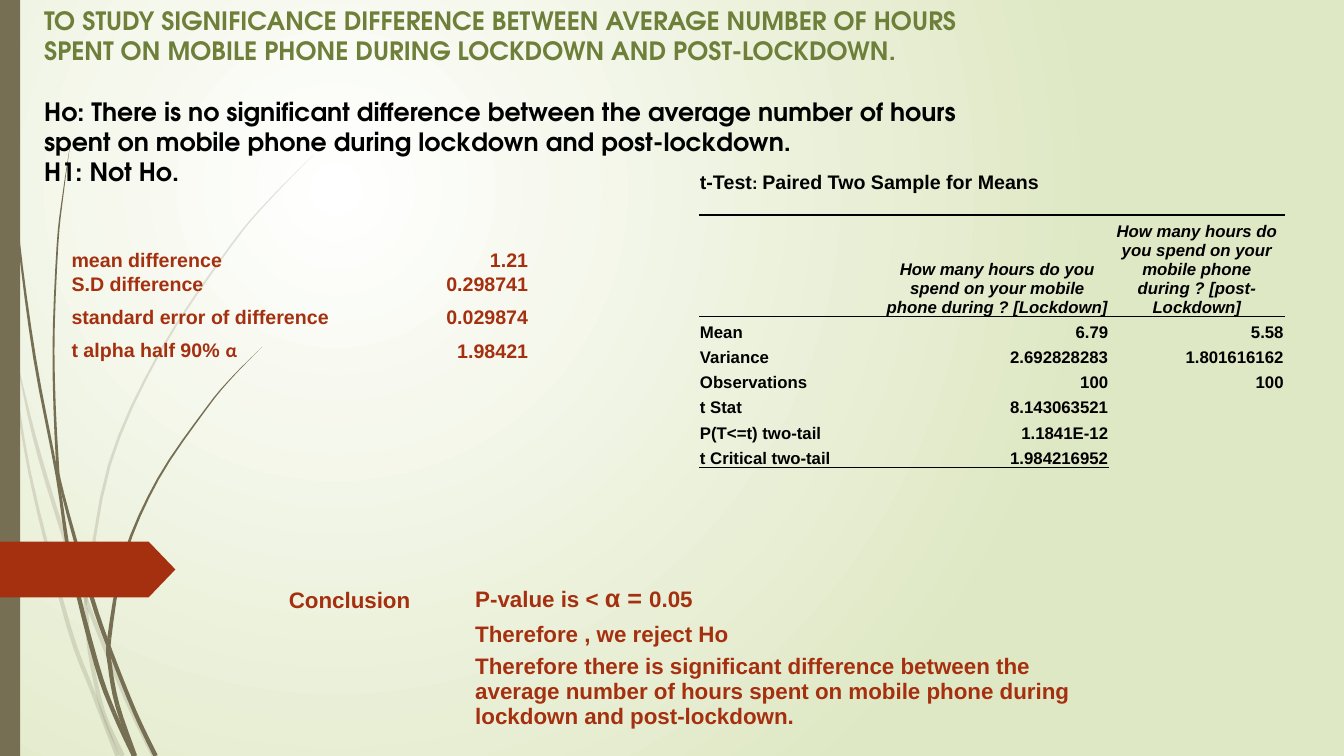
from dataclasses import dataclass
from math import hypot
from typing import NamedTuple

from lxml.etree import SubElement
from pptx import Presentation
from pptx.dml.color import RGBColor
from pptx.enum.shapes import MSO_SHAPE
from pptx.enum.text import MSO_ANCHOR, PP_ALIGN
from pptx.oxml import parse_xml
from pptx.oxml.ns import nsdecls, qn
from pptx.util import Pt

WHITE = RGBColor(0xFF, 0xFF, 0xFF)
BLACK = RGBColor(0, 0, 0)
PALE_GREEN = RGBColor(0xDF, 0xE8, 0xC4)
OLIVE = RGBColor(0x6D, 0x7F, 0x39)
BROWN = RGBColor(0x76, 0x6F, 0x54)
RUST = RGBColor(0xA5, 0x30, 0x10)
NO_STYLE_NO_GRID = "{2D5ABB26-0587-4C30-8999-92F81FD0307C}"
HEADING_FONT = "TeX Gyre Adventor"
CURVE_STEPS = 4


class Stop(NamedTuple):
    """A point on a blade's centre line, with the blade's width there."""
    x: float
    y: float
    width: float


class Blade(NamedTuple):
    joints: tuple[int, ...]  # stops where one piece ends and the next begins
    opacity: int
    stops: list[Stop]


class Part(NamedTuple):
    text: str
    size: float
    font: str = "Arial"


@dataclass
class Grid:
    left: float
    top: float
    columns: list[float]
    rows: list[float]
    cells: list[list]
    size: float
    color: RGBColor
    value_align: PP_ALIGN = PP_ALIGN.RIGHT
    header_row: int | None = None
    merged: tuple[int, int, int] | None = None  # row, first column, last column
    rules: tuple[tuple[int, int, float], ...] = ()  # row, column count, width


BLADES = [
    Blade((1, 4), 20, [
        Stop(0, 209, 2), Stop(7.2, 249, 1.5), Stop(21.2, 338, 2), Stop(48.6, 446, 3),
        Stop(66.6, 495, 3), Stop(83.9, 540, 3)]),
    Blade((3,), 20, [
        Stop(10, 248, 0), Stop(24.5, 312, 2.5), Stop(43.2, 375, 2.9), Stop(62, 430, 2.9),
        Stop(90, 499, 2.9), Stop(109.8, 540, 3)]),
    Blade((5, 6, 8), 20, [
        Stop(224.6, 110, 0), Stop(193, 142, 0.8), Stop(164.5, 176, 1.2), Stop(114.5, 251, 1.5),
        Stop(78.1, 332, 2), Stop(62, 424, 2.2), Stop(62, 437, 2.5), Stop(64.1, 465, 2.9),
        Stop(73.5, 508, 3), Stop(87.5, 540, 3.5)]),
    Blade((5, 8), 100, [
        Stop(2.5, 0, 0.5), Stop(3.2, 35, 0.7), Stop(5.4, 79, 0.8), Stop(13, 168, 1.4),
        Stop(24.8, 256, 2), Stop(40.8, 340, 2), Stop(50.4, 401, 2.8), Stop(68.8, 474, 3.4),
        Stop(81.4, 509, 3), Stop(95.8, 540, 3.2)]),
    Blade((4, 5, 7), 100, [
        Stop(50.4, 101.5, 0), Stop(45, 139, 0.8), Stop(41, 176, 1.2), Stop(38.2, 251, 1.4),
        Stop(40.7, 325, 2), Stop(44.7, 352, 2), Stop(65.2, 425.5, 3), Stop(78.5, 464, 2.9),
        Stop(96.5, 509, 2.9), Stop(111.2, 540, 3.2)]),
    Blade((5, 6, 7), 100, [
        Stop(187.5, 247.7, 0), Stop(166.3, 269, 0.6), Stop(147.2, 292, 1), Stop(113, 342, 1.4),
        Stop(88.9, 397, 2), Stop(78.1, 456, 2.9), Stop(78.5, 475, 3), Stop(83.9, 504, 3.2),
        Stop(96.5, 540, 3)]),
]

DIFFERENCES = Grid(
    50.4, 176, [236.9, 90.7], [18, 17.3, 23, 24.5],
    [["mean difference", "1.21"],
     ["S.D difference", "0.298741"],
     ["standard error of difference", "0.029874"],
     [[Part("t alpha half 90% ", 14), Part("α", 14, "Calibri")], "1.98421"]],
    size=14, color=RUST)

CONCLUSION = Grid(
    205.6, 413.5, [133.2, 192.2, 92.9, 48, 48, 48], [24.5, 24.5, 24.5],
    [["Conclusion", [Part("P-value is < ", 16), Part("α = ", 18), Part("0.05", 16)]],
     ["", "Therefore , we reject Ho"],
     ["", "Therefore there is significant difference between the average number of "
          "hours spent on mobile phone during lockdown and post-lockdown."]],
    size=16, color=RUST, value_align=PP_ALIGN.LEFT, merged=(2, 1, 5))

T_TEST = Grid(
    499.3, 120.5, [133.2, 159.8, 125.3], [18, 15, 63.4] + [18] * 6,
    [[[Part("t-Test", 14), Part(": ", 12), Part("Paired Two Sample for Means", 14)]],
     [],
     ["", "How many hours do you spend on your mobile phone during ? [Lockdown]",
      "How many hours do you spend on your mobile phone during ? [post-Lockdown]"],
     ["Mean", "6.79", "5.58"],
     ["Variance", "2.692828283", "1.801616162"],
     ["Observations", "100", "100"],
     ["t Stat", "8.143063521"],
     ["P(T<=t) two-tail", "1.1841E-12"],
     ["t Critical two-tail", "1.984216952"]],
    size=12, color=BLACK, header_row=2, merged=(0, 0, 1),
    rules=((1, 3, 1.25), (2, 3, 0.5), (8, 2, 1)))


def smooth(stops: list[Stop]) -> list[Stop]:
    """Catmull-Rom curve through the stops."""
    padded = [stops[0], *stops, stops[-1]]
    curve = []
    for a, b, c, d in zip(padded, padded[1:], padded[2:], padded[3:]):
        for step in range(CURVE_STEPS):
            t = step / CURVE_STEPS
            curve.append(Stop(*(
                q + t * (r - p) / 2 + t**2 * (2 * p - 5 * q + 4 * r - s) / 2
                + t**3 * (3 * q - p - 3 * r + s) / 2
                for p, q, r, s in zip(a, b, c, d))))
    return curve + [stops[-1]]


def paint(shape, color: RGBColor) -> None:
    shape.shadow.inherit = False
    shape.fill.solid()
    shape.fill.fore_color.rgb = color
    shape.line.fill.background()


def draw_blade(slide, blade: Blade) -> None:
    curve = smooth(blade.stops)
    sides = []
    for before, here, after in zip([curve[0], *curve], curve, [*curve[1:], curve[-1]]):
        dx, dy = after.x - before.x, after.y - before.y
        reach = here.width / 2 / hypot(dx, dy)
        sides.append([(Pt(max(0, here.x - sign * dy * reach)), Pt(here.y + sign * dx * reach))
                      for sign in (1, -1)])
    ends = [0, *blade.joints, len(blade.stops) - 1]
    for first, last in zip(ends, ends[1:]):
        piece = sides[first * CURVE_STEPS:last * CURVE_STEPS + 1]
        outline = [one for one, _ in piece] + [other for _, other in reversed(piece)]
        builder = slide.shapes.build_freeform(*outline[0])
        builder.add_line_segments(outline[1:], close=True)
        leaf = builder.convert_to_shape()
        paint(leaf, BROWN)
        if blade.opacity < 100:
            tint = next(leaf.element.spPr.iter(qn("a:srgbClr")))
            SubElement(tint, qn("a:alpha"), val=str(blade.opacity * 1000))


def fill_background(slide) -> None:
    fill = slide.background.fill
    fill.gradient()
    for stop, color, position in zip(fill.gradient_stops, (WHITE, PALE_GREEN), (0, 1)):
        stop.color.rgb = color
        stop.position = position
    linear = next(slide.element.iter(qn("a:lin")))
    linear.getparent().replace(linear, parse_xml(
        f'<a:path {nsdecls("a")} path="circle">'
        '<a:fillToRect l="50000" t="50000" r="100000" b="100000"/></a:path>'))


def draw_hypotheses(slide) -> None:
    frame = slide.shapes.add_textbox(Pt(24.5), Pt(-12.8), Pt(707.8), Pt(149.8)).text_frame
    frame.word_wrap = True
    frame.vertical_anchor = MSO_ANCHOR.BOTTOM
    frame.text = (
        "TO STUDY SIGNIFICANCE DIFFERENCE BETWEEN AVERAGE NUMBER OF HOURS SPENT ON "
        "MOBILE PHONE DURING LOCKDOWN AND POST-LOCKDOWN.\n"
        "Ho: There is no significant difference between the average number of hours "
        "spent on mobile phone during lockdown and post-lockdown.\nH1: Not Ho.")
    for paragraph, color in zip(frame.paragraphs, (OLIVE, BLACK, BLACK)):
        font = paragraph.runs[0].font
        font.name, font.size, font.bold = HEADING_FONT, Pt(18), True
        font.color.rgb = color
    frame.paragraphs[1].space_before = Pt(21.6)


def draw_grid(slide, grid: Grid) -> None:
    table = slide.shapes.add_table(
        len(grid.rows), len(grid.columns), Pt(grid.left), Pt(grid.top),
        Pt(sum(grid.columns)), Pt(sum(grid.rows))).table
    table.first_row = table.horz_banding = False
    next(table._tbl.iter(qn("a:tableStyleId"))).text = NO_STYLE_NO_GRID
    for column, width in zip(table.columns, grid.columns):
        column.width = Pt(width)
    for r, (height, contents) in enumerate(zip(grid.rows, grid.cells)):
        table.rows[r].height = Pt(height)
        for c in range(len(grid.columns)):
            cell = table.cell(r, c)
            cell.fill.background()
            cell.margin_left = cell.margin_right = cell.margin_top = Pt(0.7)
            cell.margin_bottom = Pt(0)
            cell.vertical_anchor = MSO_ANCHOR.BOTTOM
            paragraph = cell.text_frame.paragraphs[0]
            content = contents[c] if c < len(contents) else ""
            if not content:
                SubElement(paragraph._p, qn("a:endParaRPr"), sz="1000")
                continue
            is_header = r == grid.header_row
            paragraph.alignment = (PP_ALIGN.CENTER if is_header
                                   else grid.value_align if c else PP_ALIGN.LEFT)
            for part in [Part(content, grid.size)] if isinstance(content, str) else content:
                run = paragraph.add_run()
                run.text = part.text
                font = run.font
                font.name, font.size = part.font, Pt(part.size)
                font.bold, font.italic = True, is_header
                font.color.rgb = grid.color
    if grid.merged:
        row, first, last = grid.merged
        table.cell(row, first).merge(table.cell(row, last))
    for row, count, width in grid.rules:
        for c in range(count):
            table.cell(row, c)._tc.get_or_add_tcPr().insert(0, parse_xml(
                f'<a:lnB {nsdecls("a")} w="{Pt(width)}"><a:solidFill>'
                f'<a:srgbClr val="{BLACK}"/></a:solidFill></a:lnB>'))


def main() -> None:
    deck = Presentation()
    deck.slide_width, deck.slide_height = Pt(960), Pt(540)
    slide = deck.slides.add_slide(deck.slide_layouts[6])
    fill_background(slide)
    for blade in BLADES:
        draw_blade(slide, blade)
    paint(slide.shapes.add_shape(MSO_SHAPE.RECTANGLE, 0, 0, Pt(14.4), Pt(540)), BROWN)
    marker = slide.shapes.add_shape(MSO_SHAPE.PENTAGON, 0, Pt(386.9), Pt(125.3), Pt(39.8))
    marker.adjustments[0] = 0.48
    paint(marker, RUST)
    draw_hypotheses(slide)
    for grid in (DIFFERENCES, CONCLUSION, T_TEST):
        draw_grid(slide, grid)
    deck.save("out.pptx")


if __name__ == "__main__":
    main()
